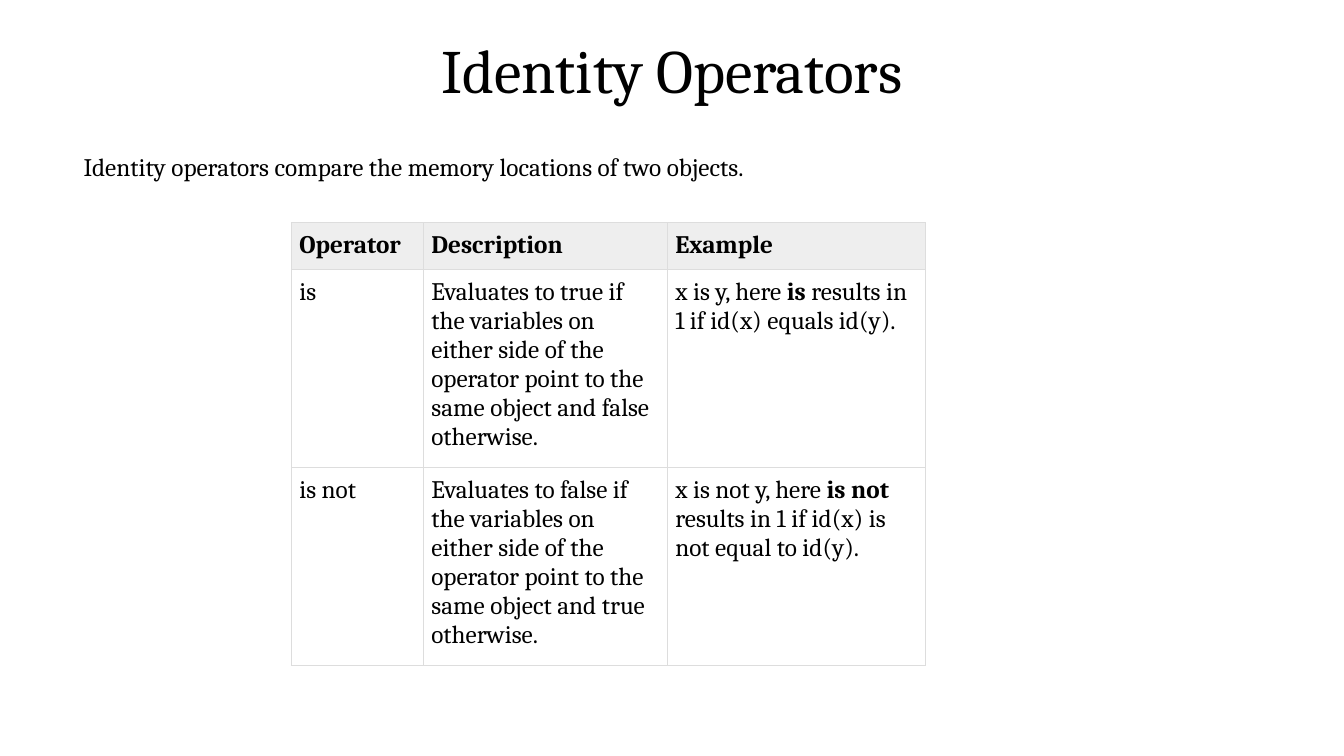
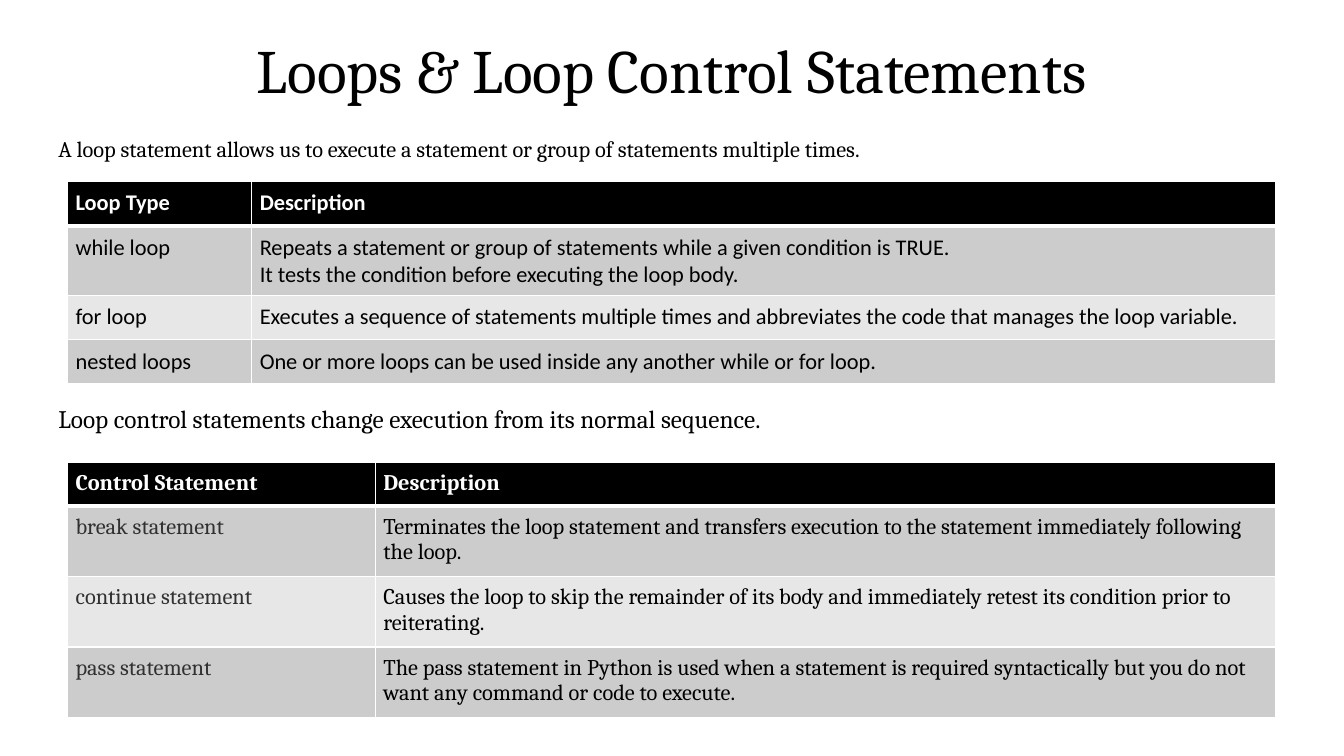
from lxml.etree import SubElement
from pptx import Presentation
from pptx.dml.color import RGBColor
from pptx.enum.text import MSO_ANCHOR as Anchor, MSO_AUTO_SIZE as AutoSize, PP_ALIGN as Align
from pptx.oxml.ns import qn
from pptx.util import Inches, Pt

BLACK, WHITE, DARK = "000000", "FFFFFF", "313131"
GRID, HEAD = "DDDDDD", "EEEEEE"
BANDS = ["CCCCCC", "E7E7E7"]


def rgb(hex_color):
    """Turn a hex string into a colour."""
    return RGBColor.from_string(hex_color)


class Deck:
    """Holds the style and the current slide; lengths are percent of the slide."""

    font = "Cambria"
    title_size = 44
    inset = Inches(0.08)

    def __init__(self):
        """Start a widescreen presentation."""
        self.prs = Presentation()
        self.prs.slide_width, self.prs.slide_height = Inches(13.33), Inches(7.5)
        self.s = None

    def x(self, share):
        """Convert a percentage of the slide width."""
        return int(self.prs.slide_width * share / 100)

    def y(self, share):
        """Convert a percentage of the slide height."""
        return int(self.prs.slide_height * share / 100)

    def style(self, p, size, color=BLACK, font=None, bold=None):
        """Set the font of a paragraph."""
        f = p.font
        f.name, f.size, f.bold = font or self.font, Pt(size), bold
        f.color.rgb = rgb(color)

    def slide(self, title):
        """Add a slide with its centred title."""
        self.s = self.prs.slides.add_slide(self.prs.slide_layouts[5])
        sp = self.s.shapes.title
        sp.left, sp.top, sp.width, sp.height = 0, 0, self.x(100), self.y(19.33)
        tf = sp.text_frame
        tf.text = title
        tf.auto_size, tf.vertical_anchor = AutoSize.NONE, Anchor.MIDDLE
        p = tf.paragraphs[0]
        p.alignment, p.line_spacing = Align.CENTER, 0.9
        self.style(p, self.title_size)

    def text(self, text, left, top, width, size):
        """Add a line of body text."""
        sp = self.s.shapes.add_textbox(self.x(left), self.y(top), self.x(width), self.y(5))
        tf = sp.text_frame
        tf.word_wrap, tf.auto_size = True, AutoSize.SHAPE_TO_FIT_TEXT
        tf.text = text
        self.style(tf.paragraphs[0], size)

    def borders(self, cell, color, widths):
        """Draw the left, right, top and bottom borders of a cell."""
        tc_pr = cell._tc.get_or_add_tcPr()
        for side, width in zip("LRTB", widths):
            ln = SubElement(tc_pr, qn(f"a:ln{side}"), w=str(Pt(width)))
            fill = SubElement(ln, qn("a:solidFill"))
            SubElement(fill, qn("a:srgbClr"), val=color)

    def cell(self, cell, text, fill, align, **font):
        """Fill a cell; words between asterisks are bold."""
        cell.margin_left = cell.margin_right = self.inset
        cell.margin_top = cell.margin_bottom = self.inset
        if fill:
            cell.fill.solid()
            cell.fill.fore_color.rgb = rgb(fill)
        else:
            cell.fill.background()
        tf = cell.text_frame
        for i, line in enumerate(text.split("\n")):
            p = tf.add_paragraph() if i else tf.paragraphs[0]
            p.alignment = align
            self.style(p, **font)
            for j, part in enumerate(line.split("*")):
                r = p.add_run()
                r.text = part
                if j % 2:
                    r.font.bold = True

    def table(self, rows, left, top, cols, heights, size, font=None, head=(HEAD, BLACK),
              bands=(None,), line=(GRID, 0.75), rule=0.75, key_color=BLACK, key_align=Align.LEFT):
        """Add a table with a header row and banded body rows."""
        tbl = self.s.shapes.add_table(len(rows), len(cols), self.x(left), self.y(top),
                                      self.x(sum(cols)), self.y(sum(heights))).table
        for col, width in zip(tbl.columns, cols):
            col.width = self.x(width)
        for row, height in zip(tbl.rows, heights):
            row.height = self.y(height)
        color, thin = line
        for i, row in enumerate(rows):
            top_width = rule if i == 1 else thin
            bottom_width = rule if i == 0 else thin
            for j, text in enumerate(row):
                c = tbl.cell(i, j)
                self.borders(c, color, (thin, thin, top_width, bottom_width))
                fill, ink = (bands[(i - 1) % len(bands)], BLACK) if i else head
                is_key = i > 0 and j == 0
                self.cell(c, text, fill, key_align if is_key else Align.LEFT, size=size,
                          color=key_color if is_key else ink, font=font, bold=i == 0)

    def banded(self, rows, top, cols, heights, **options):
        """Add a full-width table with a black header and grey bands."""
        self.table(rows, 5.03, top, cols, heights, 16, head=(BLACK, WHITE), bands=BANDS,
                   line=(WHITE, 1), rule=3, key_align=Align.JUSTIFY, **options)


def main():
    """Build both slides."""
    d = Deck()

    d.slide("Identity Operators")
    d.text("Identity operators compare the memory locations of two objects.", 5.48, 19.33, 79.65, 18)
    d.table([
        ("Operator", "Description", "Example"),
        ("is",
         "Evaluates to true if the variables on either side of the operator point to the "
         "same object and false otherwise.",
         "x is y, here *is* results in 1 if id(x) equals id(y)."),
        ("is not",
         "Evaluates to false if the variables on either side of the operator point to the "
         "same object and true otherwise.",
         "x is not y, here *is not* results in 1 if id(x) is not equal to id(y)."),
    ], 21.67, 29.47, [9.83, 18.15, 19.2], [6.2, 26.2, 26.2], 18)

    d.slide("Loops & Loop Control Statements")
    d.text("A loop statement allows us to execute a statement or group of statements multiple times.",
           3.6, 17.2, 81.45, 16)
    d.banded([
        ("Loop Type", "Description"),
        ("while loop",
         "Repeats a statement or group of statements while a given condition is TRUE.\n"
         "It tests the condition before executing the loop body."),
        ("for loop",
         "Executes a sequence of statements multiple times and abbreviates the code that "
         "manages the loop variable."),
        ("nested loops", "One or more loops can be used inside any another while or for loop."),
    ], 24, [13.7, 76.2], [5.85, 9.12, 5.85, 5.85], font="Calibri")
    d.banded([
        ("Control Statement", "Description"),
        ("break statement",
         "Terminates the loop statement and transfers execution to the statement immediately "
         "following the loop."),
        ("continue statement",
         "Causes the loop to skip the remainder of its body and immediately retest its "
         "condition prior to reiterating."),
        ("pass statement",
         "The pass statement in Python is used when a statement is required syntactically "
         "but you do not want any command or code to execute."),
    ], 61.2, [22.9, 67], [5.73] + [9.33] * 3, key_color=DARK)
    d.text("Loop control statements change execution from its normal sequence.", 3.6, 52.67, 86.6, 18)

    d.prs.save("out.pptx")


if __name__ == "__main__":
    main()
